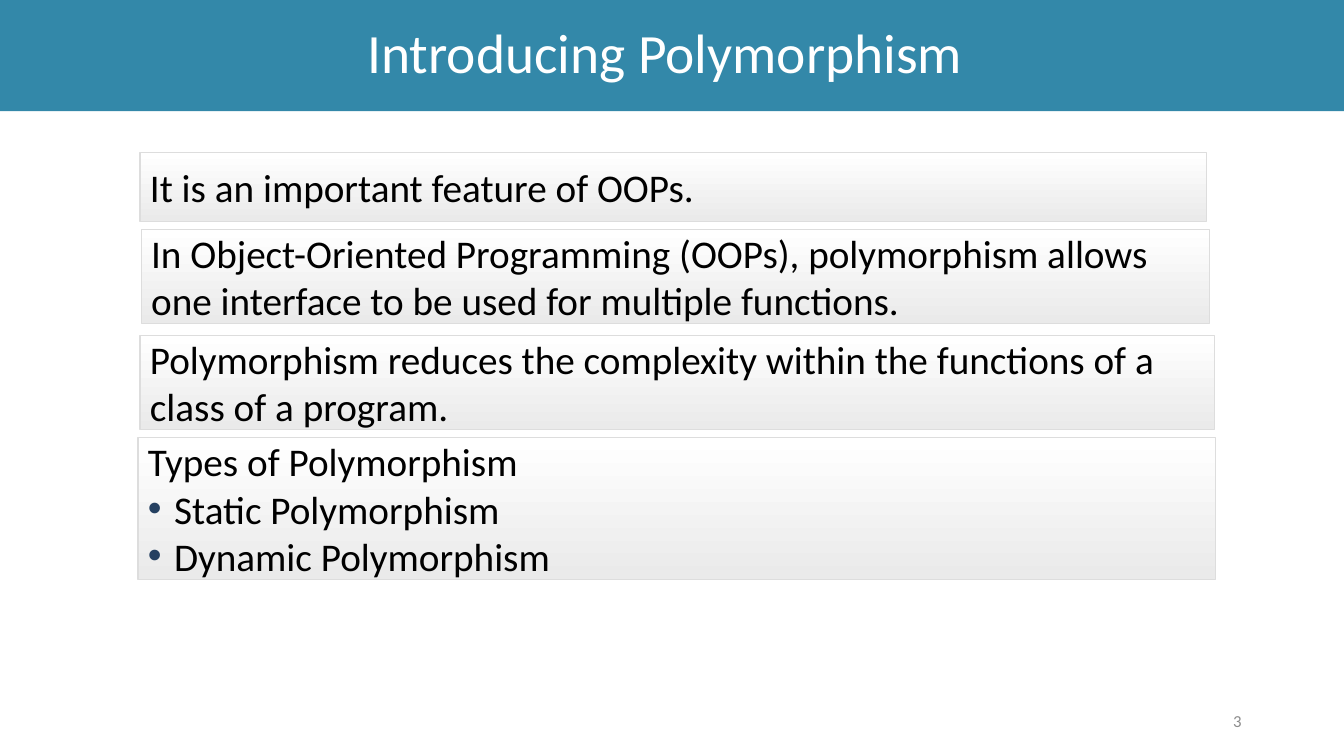
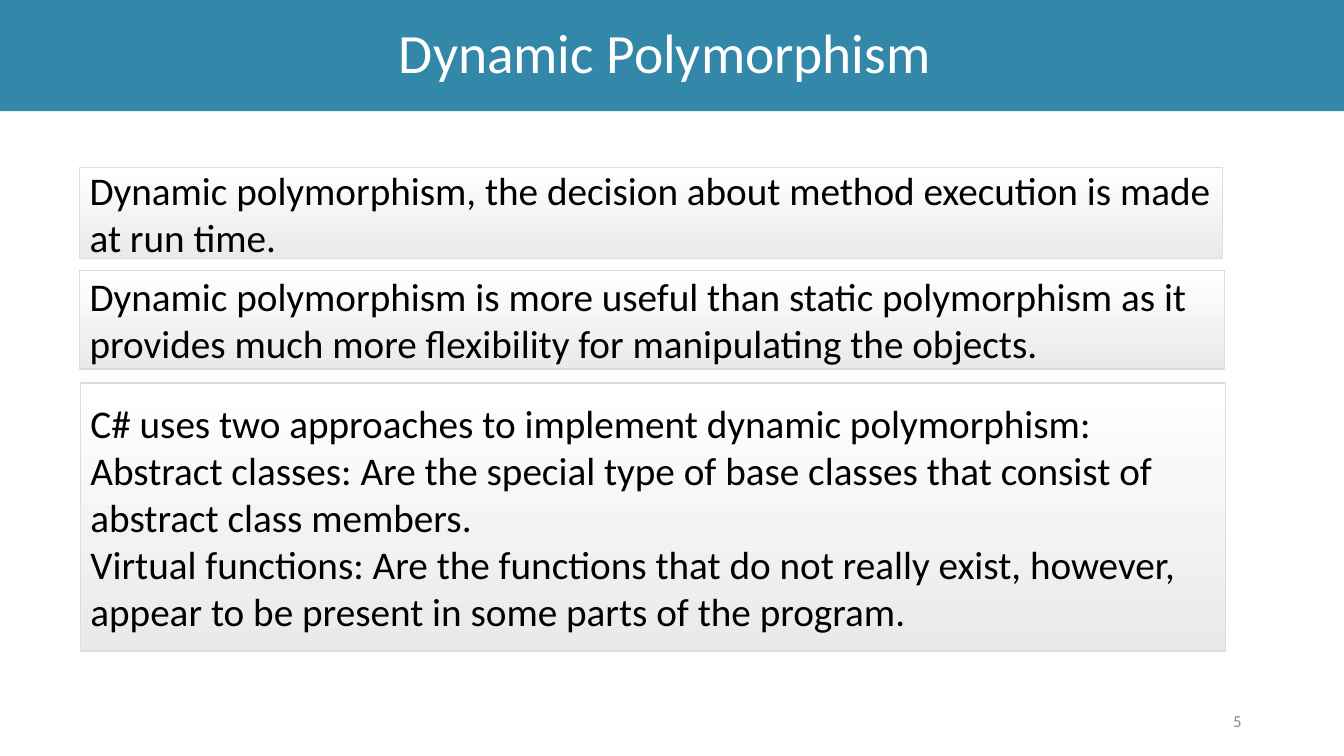
from dataclasses import dataclass

import pptx
import pptx.dml.color
import pptx.enum.shapes
import pptx.enum.text
import pptx.util
from lxml import etree
from pptx.oxml.ns import qn
from pptx.util import Cm, Pt

COLOURS = {
    "band": "3388A9",
    "title": "FFFFFF",
    "panel_top": "FFFFFF",
    "panel_bottom": "EAEAEA",
    "panel_line": "DDDDDD",
    "body": "000000",
    "bullet": "254061",
    "page_number": "8C8C8C",
}
FONT = "Calibri"
SLIDE_WIDTH, SLIDE_HEIGHT = Cm(33.87), Cm(19.05)
ALIGN = pptx.enum.text.PP_ALIGN


@dataclass(frozen=True)
class Panel:
    """A shaded box; left, top, width and height are in centimetres."""
    left: float
    top: float
    width: float
    height: float
    lines: tuple[str, ...]
    bullets: tuple[str, ...] = ()


@dataclass(frozen=True)
class Topic:
    title: str
    page: int
    panels: tuple[Panel, ...]


TOPICS = (
    Topic("Introducing Polymorphism", 3, (
        Panel(3.53, 3.84, 26.87, 1.75, ("It is an important feature of OOPs.",)),
        Panel(3.56, 5.79, 26.92, 2.36, (
            "In Object-Oriented Programming (OOPs), polymorphism allows "
            "one interface to be used for multiple functions.",)),
        Panel(3.53, 8.46, 27.08, 2.36, (
            "Polymorphism reduces the complexity within the functions of a "
            "class of a program.",)),
        Panel(3.48, 11.02, 27.15, 3.58, ("Types of Polymorphism",),
              ("Static Polymorphism", "Dynamic Polymorphism")),
    )),
    Topic("Dynamic Polymorphism", 5, (
        Panel(2.01, 4.22, 28.8, 2.29, (
            "Dynamic polymorphism, the decision about method execution is made "
            "at run time.",)),
        Panel(2.01, 6.81, 28.85, 2.49, (
            "Dynamic polymorphism is more useful than static polymorphism as it "
            "provides much more flexibility for manipulating the objects.",)),
        Panel(2.03, 9.65, 28.85, 6.76, (
            "C# uses two approaches to implement dynamic polymorphism:",
            "Abstract classes: Are the special type of base classes that consist "
            "of abstract class members.",
            "Virtual functions: Are the functions that do not really exist, "
            "however, appear to be present in some parts of the program.")),
    )),
)


def colour(role: str) -> pptx.dml.color.RGBColor:
    return pptx.dml.color.RGBColor.from_string(COLOURS[role])


def write(frame, lines: tuple[str, ...], size: float, role: str, align: ALIGN) -> None:
    """Fill a frame, one paragraph a line, centred vertically."""
    frame.word_wrap = True
    frame.vertical_anchor = pptx.enum.text.MSO_ANCHOR.MIDDLE
    frame.text = "\n".join(lines)
    for paragraph in frame.paragraphs:
        paragraph.alignment = align
        for run in paragraph.runs:
            run.font.name = FONT
            run.font.size = Pt(size)
            run.font.color.rgb = colour(role)


def add_rectangle(slide, left: int, top: int, width: int, height: int):
    rectangle = slide.shapes.add_shape(
        pptx.enum.shapes.MSO_SHAPE.RECTANGLE, left, top, width, height)
    rectangle.shadow.inherit = False
    return rectangle


def add_title_band(slide, title: str) -> None:
    band = add_rectangle(slide, 0, 0, SLIDE_WIDTH, Cm(2.8))
    band.fill.solid()
    band.fill.fore_color.rgb = colour("band")
    band.line.fill.background()
    band.text_frame.margin_right = Cm(0.6)
    write(band.text_frame, (title,), 39.6, "title", ALIGN.CENTER)
    band.text_frame.paragraphs[0].line_spacing = 0.9


def add_page_number(slide, page: int) -> None:
    footer = slide.shapes.add_textbox(Cm(23.92), Cm(17.65), Cm(7.62), Cm(1.02))
    write(footer.text_frame, (str(page),), 12, "page_number", ALIGN.RIGHT)


def add_bullet(paragraph) -> None:
    indent = Cm(0.66)
    properties = paragraph._p.get_or_add_pPr()
    properties.set("marL", str(indent))
    properties.set("indent", str(-indent))
    bullet_colour = etree.SubElement(properties, qn("a:buClr"))
    etree.SubElement(bullet_colour, qn("a:srgbClr"), val=COLOURS["bullet"])
    etree.SubElement(properties, qn("a:buFont"), typeface="Arial")
    etree.SubElement(properties, qn("a:buChar"), char="•")


def add_panel(slide, panel: Panel) -> None:
    box = add_rectangle(slide, Cm(panel.left), Cm(panel.top),
                        Cm(panel.width), Cm(panel.height))
    box.fill.gradient()
    box.fill.gradient_angle = 270
    for stop, role in zip(box.fill.gradient_stops, ("panel_top", "panel_bottom")):
        stop.color.rgb = colour(role)
    box.line.color.rgb = colour("panel_line")
    box.line.width = Pt(1)
    write(box.text_frame, panel.lines + panel.bullets, 28, "body", ALIGN.LEFT)
    for paragraph in box.text_frame.paragraphs[len(panel.lines):]:
        add_bullet(paragraph)


def main() -> None:
    deck = pptx.Presentation()
    deck.slide_width, deck.slide_height = SLIDE_WIDTH, SLIDE_HEIGHT
    blank = deck.slide_layouts[6]
    for topic in TOPICS:
        slide = deck.slides.add_slide(blank)
        add_title_band(slide, topic.title)
        add_page_number(slide, topic.page)
        for panel in topic.panels:
            add_panel(slide, panel)
    deck.save("out.pptx")


if __name__ == "__main__":
    main()
